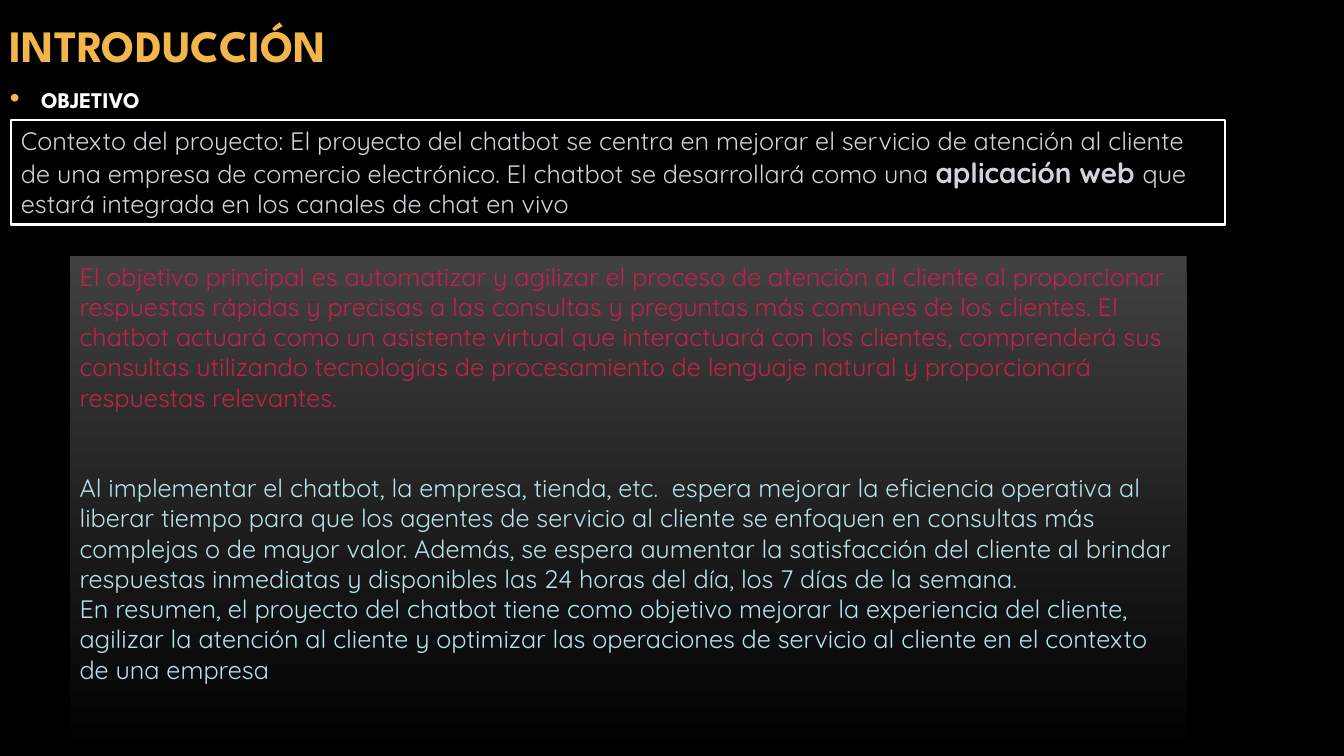
import pptx
import pptx.util
import pptx.dml.color
import pptx.enum.shapes
import pptx.enum.text
import pptx.oxml
import pptx.oxml.ns

Inches, Pt = pptx.util.Inches, pptx.util.Pt
MIDDLE, TOP = pptx.enum.text.MSO_ANCHOR.MIDDLE, pptx.enum.text.MSO_ANCHOR.TOP


def color(hex_value):
    return pptx.dml.color.RGBColor.from_string(hex_value)


def write(box, anchor, paragraphs):
    frame = box.text_frame
    frame.word_wrap = True
    frame.vertical_anchor = anchor
    for index, runs in enumerate(paragraphs):
        paragraph = frame.add_paragraph() if index else frame.paragraphs[0]
        paragraph.alignment = pptx.enum.text.PP_ALIGN.LEFT
        for text, size, font, hex_value, bold in runs:
            run = paragraph.add_run()
            run.text = text
            run.font.size = Pt(size)
            run.font.name = font
            run.font.bold = bold
            run.font.color.rgb = color(hex_value)
    return frame.paragraphs


presentation = pptx.Presentation()
presentation.slide_width = Inches(13.33)
presentation.slide_height = Inches(7.5)
slide = presentation.slides.add_slide(presentation.slide_layouts[6])
slide.background.fill.solid()
slide.background.fill.fore_color.rgb = color("000000")

HEADING, BODY = "League Spartan", "Quicksand"
GOLD, WHITE, GRAY, RED, SKY = "F4B54B", "FFFFFF", "D1D5DB", "C22249", "B7E1ED"

title = slide.shapes.add_textbox(Inches(0), Inches(-0.6), Inches(10.83), Inches(2.08))
write(title, MIDDLE, [[("INTRODUCCIÓN", 32, HEADING, GOLD, True)]])

subtitle = slide.shapes.add_textbox(Inches(0), Inches(0.67), Inches(2.29), Inches(0.6))
objective = write(subtitle, MIDDLE, [[("objetivo", 20, HEADING, WHITE, True)]])[0]
objective.runs[0].font._element.set("cap", "small")
objective.space_before = Pt(4)
objective.space_after = Pt(6)
bullet = objective._p.get_or_add_pPr()
bullet.set("marL", str(Inches(0.31)))
bullet.set("indent", str(Inches(-0.31)))
namespace = pptx.oxml.ns.nsdecls("a")
for xml in (
    f'<a:buClr {namespace}><a:srgbClr val="{GOLD}"/></a:buClr>',
    f'<a:buFont {namespace} typeface="Arial"/>',
    f'<a:buChar {namespace} char="•"/>',
):
    bullet.append(pptx.oxml.parse_xml(xml))

RECTANGLE = pptx.enum.shapes.MSO_SHAPE.RECTANGLE
context = slide.shapes.add_shape(RECTANGLE, Inches(0.11), Inches(1.19), Inches(12.04), Inches(1.04))
context.shadow.inherit = False
context.fill.solid()
context.fill.fore_color.rgb = color("000000")
context.line.color.rgb = color(WHITE)
context.line.width = Pt(2)
write(context, TOP, [[
    ("Contexto del proyecto: El proyecto del chatbot se centra en mejorar el servicio de "
     "atención al cliente de una empresa de comercio electrónico. El chatbot se desarrollará "
     "como una ", 18, BODY, GRAY, False),
    ("aplicación web ", 20, BODY, GRAY, True),
    ("que estará integrada en los canales de chat en vivo", 18, BODY, GRAY, False),
]])

goals = slide.shapes.add_shape(RECTANGLE, Inches(0.69), Inches(2.54), Inches(11.08), Inches(4.95))
goals.shadow.inherit = False
goals.fill.gradient()
goals.fill.gradient_angle = 270
for stop, position, shade in zip(goals.fill.gradient_stops, (0, 1), ("414141", "000000")):
    stop.position = position
    stop.color.rgb = color(shade)
goals.line.fill.background()
goal_texts = [
    ("El objetivo principal es automatizar y agilizar el proceso de atención al cliente al "
     "proporcionar respuestas rápidas y precisas a las consultas y preguntas más comunes de los "
     "clientes. El chatbot actuará como un asistente virtual que interactuará con los clientes, "
     "comprenderá sus consultas utilizando tecnologías de procesamiento de lenguaje natural y "
     "proporcionará respuestas relevantes.", RED),
    ("Al implementar el chatbot, la empresa, tienda, etc.  espera mejorar la eficiencia operativa "
     "al liberar tiempo para que los agentes de servicio al cliente se enfoquen en consultas más "
     "complejas o de mayor valor. Además, se espera aumentar la satisfacción del cliente al "
     "brindar respuestas inmediatas y disponibles las 24 horas del día, los 7 días de la semana.",
     SKY),
    ("En resumen, el proyecto del chatbot tiene como objetivo mejorar la experiencia del cliente, "
     "agilizar la atención al cliente y optimizar las operaciones de servicio al cliente en el "
     "contexto de una empresa", SKY),
]
goal_paragraphs = write(goals, TOP, [[(text, 18, BODY, tone, False)] for text, tone in goal_texts])
goal_paragraphs[1].space_before = Pt(43)

presentation.save("out.pptx")
